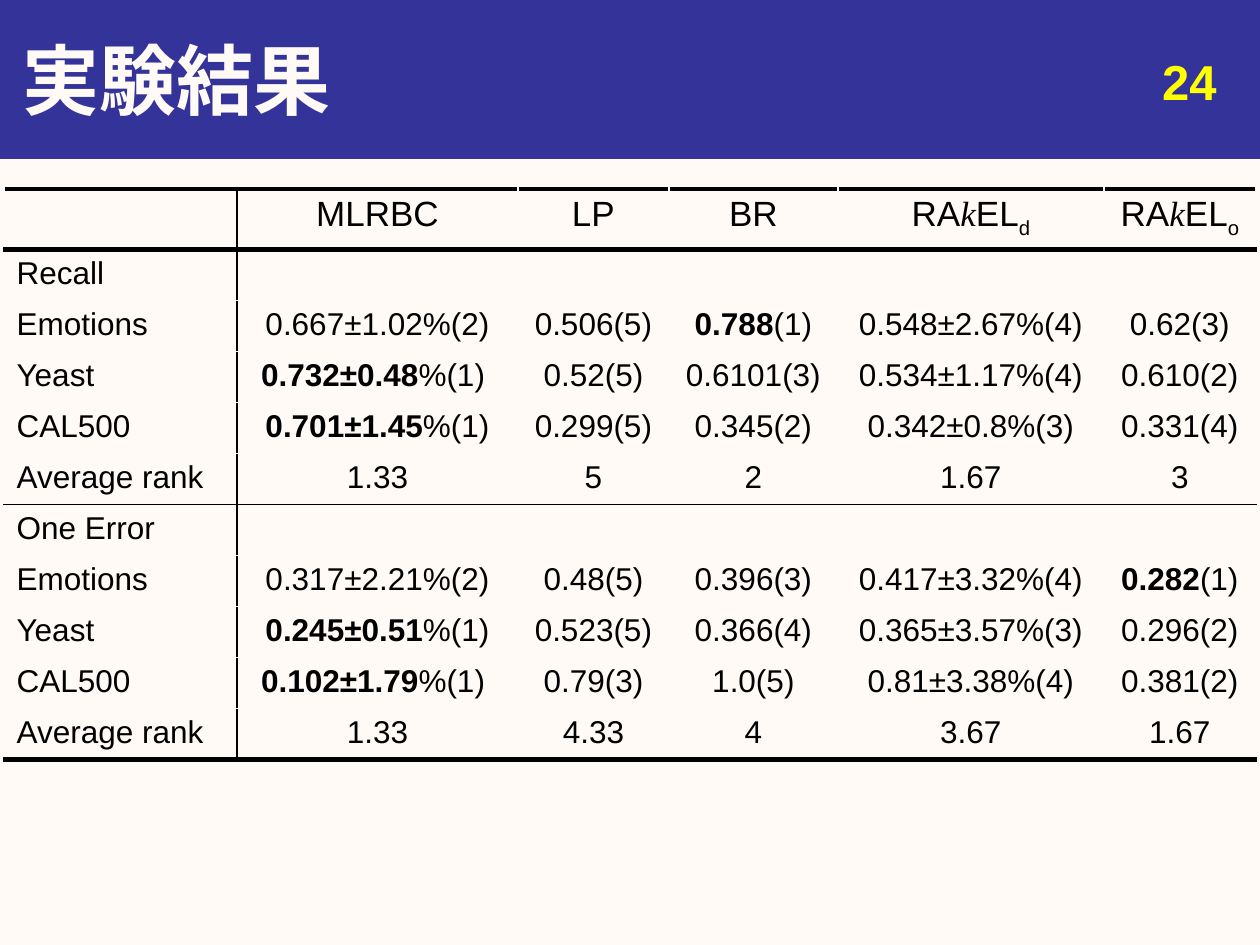
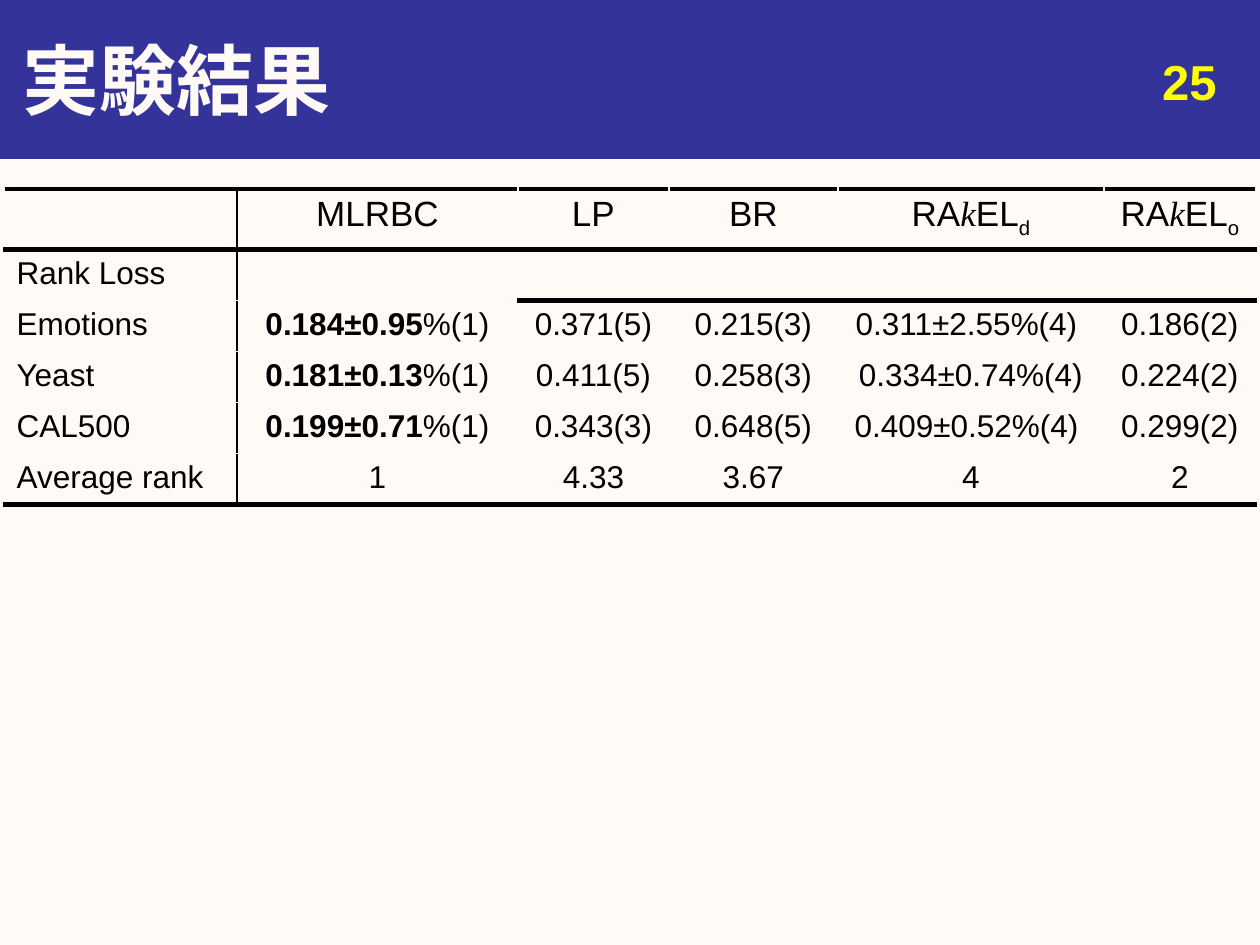
from lxml import etree
from pptx import Presentation
from pptx.dml.color import RGBColor
from pptx.enum.lang import MSO_LANGUAGE_ID
from pptx.enum.shapes import MSO_SHAPE
from pptx.enum.text import MSO_ANCHOR, PP_ALIGN
from pptx.oxml.ns import qn
from pptx.util import Emu, Pt

RECTANGLE = MSO_SHAPE.RECTANGLE
MIDDLE, TOP = MSO_ANCHOR.MIDDLE, MSO_ANCHOR.TOP
LEFT, CENTER, RIGHT = PP_ALIGN.LEFT, PP_ALIGN.CENTER, PP_ALIGN.RIGHT
JAPANESE = MSO_LANGUAGE_ID.JAPANESE

EMU_PER_INCH, PX_PER_INCH = 914400, 126
SLIDE_WIDTH, SLIDE_HEIGHT, BAND_HEIGHT = 1260, 945, 158
COLORS = {"paper": "FFFAF5", "band": "333399", "ink": "000000", "number": "FFFF00"}
FONT, MATH_FONT = "Arial", "Times New Roman"

TABLE_LEFT, TABLE_TOP = 4, 189
COLUMN_WIDTHS = [233, 281, 151, 169, 266, 152]
HEADER_HEIGHT, ROW_HEIGHT = 57, 51
HEAVY, THIN, HIDDEN = ("ink", 3), ("ink", 1), ("paper", 1)


def rakel(variant):
    return [("RA", {}), ("k", {"font": MATH_FONT, "italic": True}),
            ("EL", {}), (variant, {"baseline": -25000})]


METHODS = [[], [("MLRBC", {})], [("LP", {})], [("BR", {})], rakel("d"), rakel("o")]

RECALL = [
    ["Recall", "", "", "", "", ""],
    ["Emotions", "0.667±1.02%(2)", "0.506(5)", "0.788(1)", "0.548±2.67%(4)", "0.62(3)"],
    ["Yeast", "0.732±0.48%(1) ", "0.52(5)", "0.6101(3)", "0.534±1.17%(4)", "0.610(2)"],
    ["CAL500", "0.701±1.45%(1)", "0.299(5)", "0.345(2)", "0.342±0.8%(3)", "0.331(4)"],
    ["Average rank", "1.33", "5", "2", "1.67", "3"],
]
ONE_ERROR = [
    ["One Error", "", "", "", "", ""],
    ["Emotions", "0.317±2.21%(2)", "0.48(5)", "0.396(3)", "0.417±3.32%(4)", "0.282(1)"],
    ["Yeast", "0.245±0.51%(1)", "0.523(5)", "0.366(4)", "0.365±3.57%(3)", "0.296(2)"],
    ["CAL500", "0.102±1.79%(1) ", "0.79(3)", "1.0(5)", "0.81±3.38%(4)", "0.381(2)"],
    ["Average rank", "1.33", "4.33", "4", "3.67", "1.67"],
]
RANK_LOSS = [
    ["Rank Loss", "", "", "", "", ""],
    ["Emotions", "0.184±0.95%(1)", "0.371(5)", "0.215(3)", "0.311±2.55%(4) ", "0.186(2)"],
    ["Yeast", "0.181±0.13%(1)", "0.411(5)", "0.258(3)", "0.334±0.74%(4)", "0.224(2)"],
    ["CAL500", "0.199±0.71%(1)", "0.343(3)", "0.648(5)", "0.409±0.52%(4) ", "0.299(2)"],
    ["Average rank", "1", "4.33", "3.67", "4", "2"],
]


def px(length):
    return Emu(round(length * EMU_PER_INCH / PX_PER_INCH))


def rgb(color):
    return RGBColor.from_string(COLORS[color])


def score_runs(score):
    """Split a score into runs, with the figure of a first rank in bold."""
    if "(1)" not in score:
        return [(score, {})] if score else []
    figure = score.split("(")[0].split("%")[0]
    return [(figure, {"bold": True}), (score[len(figure):], {})]


class Deck:
    def __init__(self):
        self.prs = Presentation()
        self.prs.slide_width, self.prs.slide_height = px(SLIDE_WIDTH), px(SLIDE_HEIGHT)
        self.slide = None

    def add_slide(self, title, number):
        self.slide = self.prs.slides.add_slide(self.prs.slide_layouts[6])
        background = self.slide.background.fill
        background.solid()
        background.fore_color.rgb = rgb("paper")
        self.band()
        self.text((10, 0, 1250, BAND_HEIGHT), title, 44, "paper", LEFT, MIDDLE)
        self.text((935, 45, 294, 66), str(number), 28, "number", RIGHT, TOP)

    def band(self):
        band = self.slide.shapes.add_shape(RECTANGLE, 0, 0, px(SLIDE_WIDTH), px(BAND_HEIGHT))
        band.shadow.inherit = False
        band.fill.solid()
        band.fill.fore_color.rgb = band.line.color.rgb = rgb("band")
        band.line.width = Pt(0.75)

    def text(self, box, words, size, color, align, anchor):
        frame = self.slide.shapes.add_textbox(*map(px, box)).text_frame
        frame.word_wrap = True
        frame.vertical_anchor = anchor
        self.runs(frame.paragraphs[0], [(words, {"bold": True})], size, color, align)

    def runs(self, paragraph, pieces, size, color, align):
        paragraph.alignment = align
        for words, style in pieces:
            run = paragraph.add_run()
            run.text = words
            font = run.font
            font.name, font.size = style.get("font", FONT), Pt(size)
            font.bold, font.italic = style.get("bold", False), style.get("italic", False)
            font.color.rgb = rgb(color)
            font.language_id = JAPANESE
            if "baseline" in style:
                run._r.get_or_add_rPr().set("baseline", str(style["baseline"]))

    def borders(self, cell, left, right, top, bottom):
        properties = cell._tc.get_or_add_tcPr()
        for side, (color, width) in zip("LRTB", (left, right, top, bottom)):
            line = etree.SubElement(properties, qn(f"a:ln{side}"), w=str(Pt(width)))
            fill = etree.SubElement(line, qn("a:solidFill"))
            etree.SubElement(fill, qn("a:srgbClr"), val=COLORS[color])
        cell.fill.background()

    def results(self, sections, partial_rule=None):
        """Add the score table; partial_rule is a (row, first column) with a heavy line above."""
        scores = [row for section in sections for row in section]
        heights = [HEADER_HEIGHT] + [ROW_HEIGHT] * len(scores)
        last = len(heights)
        section_starts = {1 + sum(map(len, sections[:i])) for i in range(len(sections))}

        def rule_above(row, column):
            if row in (0, 1, last):
                return HEAVY
            if partial_rule and row == partial_rule[0] and column >= partial_rule[1]:
                return HEAVY
            return THIN if row in section_starts else HIDDEN

        def rule_before(column):
            return THIN if column == 1 else HIDDEN

        table = self.slide.shapes.add_table(
            last, len(COLUMN_WIDTHS), px(TABLE_LEFT), px(TABLE_TOP),
            px(sum(COLUMN_WIDTHS)), px(sum(heights))).table
        table.first_row = table.horz_banding = False
        for column, width in zip(table.columns, COLUMN_WIDTHS):
            column.width = px(width)
        cell_runs = [METHODS] + [[score_runs(score) for score in row] for row in scores]
        for r, (height, row_runs) in enumerate(zip(heights, cell_runs)):
            table.rows[r].height = px(height)
            for c, pieces in enumerate(row_runs):
                cell = table.cell(r, c)
                self.runs(cell.text_frame.paragraphs[0], pieces, 18 if r else 20, "ink",
                          CENTER if c else LEFT)
                self.borders(cell, rule_before(c), rule_before(c + 1),
                             rule_above(r, c), rule_above(r + 1, c))


def main():
    deck = Deck()
    deck.add_slide("実験結果", 24)
    deck.results([RECALL, ONE_ERROR])
    deck.add_slide("実験結果", 25)
    deck.results([RANK_LOSS], partial_rule=(2, 2))
    deck.prs.save("out.pptx")


if __name__ == "__main__":
    main()
